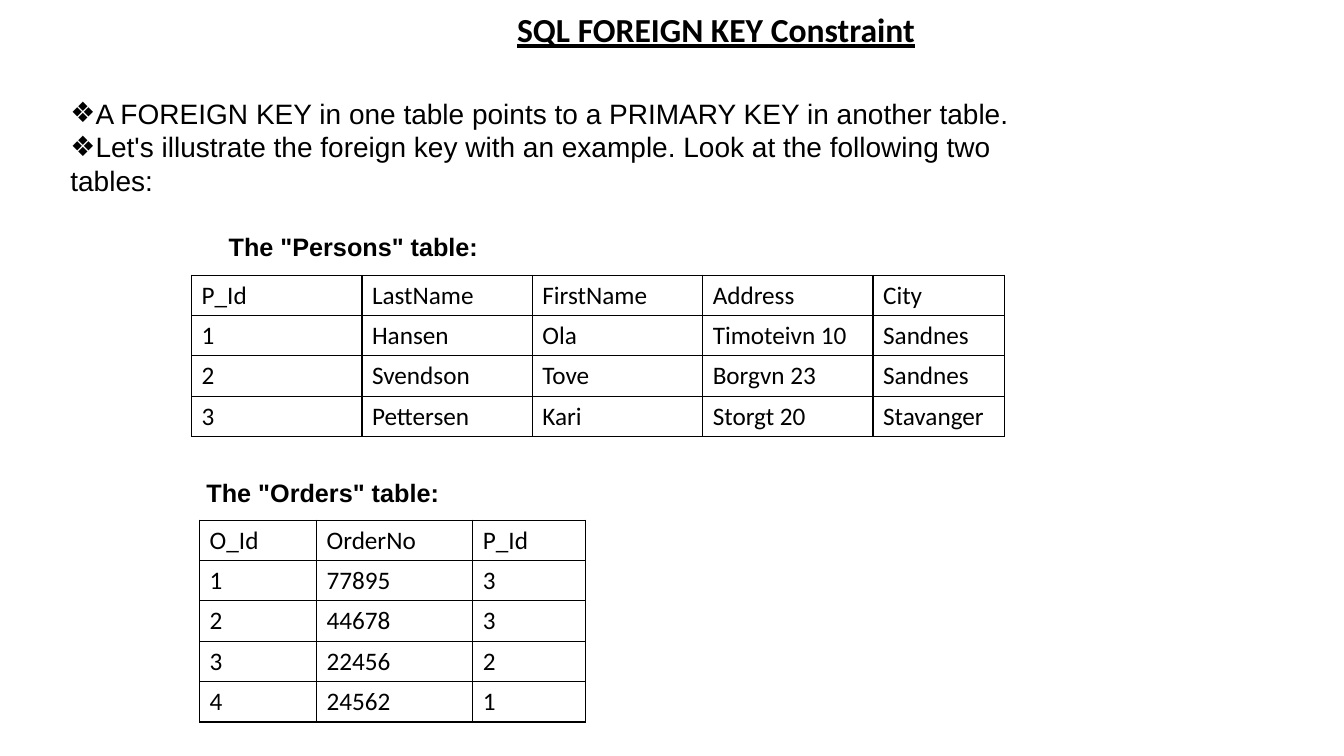
import pptx
import pptx.util
from lxml import etree
from pptx.dml.color import RGBColor
from pptx.enum.text import MSO_ANCHOR, MSO_AUTO_SIZE
from pptx.oxml.ns import qn
from pptx.util import Inches, Pt

BLACK = RGBColor(0, 0, 0)
ROW_HEIGHT = 0.4
BULLET = "❖"

title = "SQL FOREIGN KEY Constraint"
explanation = [
    (BULLET, "A FOREIGN KEY in one table points to a PRIMARY KEY in another table."),
    (BULLET, "Let's illustrate the foreign key with an example. Look at the following two"),
    (None, "tables:"),
]
persons = [
    ("P_Id", "LastName", "FirstName", "Address", "City"),
    ("1", "Hansen", "Ola", "Timoteivn 10", "Sandnes"),
    ("2", "Svendson", "Tove", "Borgvn 23", "Sandnes"),
    ("3", "Pettersen", "Kari", "Storgt 20", "Stavanger"),
]
orders = [
    ("O_Id", "OrderNo", "P_Id"),
    ("1", "77895", "3"),
    ("2", "44678", "3"),
    ("3", "22456", "2"),
    ("4", "24562", "1"),
]
# text, (left, top, width, height), size, font, underline
headings = [
    (title, (5.03, 0.04, 4.97, 0.5), 24, "Calibri", True),
    ('The "Persons" table:', (2.17, 2.25, 2.7, 0.4), 18, "Arial", False),
    ('The "Orders" table:', (1.95, 4.69, 2.53, 0.4), 18, "Arial", False),
]
# rows, left, top, column widths
tables = [
    (persons, 1.9, 2.73, [1.69] * 4 + [1.3]),
    (orders, 1.98, 5.16, [1.16, 1.55, 1.12]),
]


def write(paragraph, text, *, size, font, bold=False, underline=False, bullet=None):
    if bullet:
        properties = paragraph._p.get_or_add_pPr()
        properties.set("marL", "0")
        properties.set("indent", "0")
        etree.SubElement(properties, qn("a:buFont"), typeface="Arial")
        etree.SubElement(properties, qn("a:buChar"), char=bullet)
    run = paragraph.add_run()
    run.text = text
    run.font.size = Pt(size)
    run.font.name = font
    run.font.bold = bold
    run.font.underline = underline
    run.font.color.rgb = BLACK


def add_text_frame(slide, box, wrap):
    frame = slide.shapes.add_textbox(*map(Inches, box)).text_frame
    frame.word_wrap = wrap
    frame.auto_size = MSO_AUTO_SIZE.SHAPE_TO_FIT_TEXT
    return frame


def outline(cell):
    """Draw a 1 pt black line on all four sides of a cell."""
    properties = cell._tc.get_or_add_tcPr()
    for side in ("a:lnL", "a:lnR", "a:lnT", "a:lnB"):
        line = etree.SubElement(properties, qn(side), w=str(Pt(1)))
        fill = etree.SubElement(line, qn("a:solidFill"))
        etree.SubElement(fill, qn("a:srgbClr"), val=str(BLACK))


def add_grid(slide, rows, left, top, widths):
    table = slide.shapes.add_table(
        len(rows), len(widths), Inches(left), Inches(top),
        Inches(sum(widths)), Inches(ROW_HEIGHT * len(rows))).table
    table.first_row = False
    table.horz_banding = False
    for column, width in zip(table.columns, widths):
        column.width = Inches(width)
    for r, values in enumerate(rows):
        table.rows[r].height = Inches(ROW_HEIGHT)
        for c, value in enumerate(values):
            cell = table.cell(r, c)
            outline(cell)
            cell.fill.background()
            cell.vertical_anchor = MSO_ANCHOR.MIDDLE
            write(cell.text_frame.paragraphs[0], value, size=18, font="Calibri")


def main():
    deck = pptx.Presentation()
    deck.slide_width = Inches(13.33)
    deck.slide_height = Inches(7.5)
    slide = deck.slides.add_slide(deck.slide_layouts[6])

    for text, box, size, font, underline in headings:
        frame = add_text_frame(slide, box, wrap=False)
        write(frame.paragraphs[0], text, size=size, font=font, bold=True,
              underline=underline)

    for rows, left, top, widths in tables:
        add_grid(slide, rows, left, top, widths)

    frame = add_text_frame(slide, (0.6, 0.9, 12.13, 1.11), wrap=True)
    frame.vertical_anchor = MSO_ANCHOR.MIDDLE
    for i, (bullet, text) in enumerate(explanation):
        paragraph = frame.add_paragraph() if i else frame.paragraphs[0]
        write(paragraph, text, size=20, font="Arial", bullet=bullet)

    deck.save("out.pptx")


if __name__ == "__main__":
    main()
